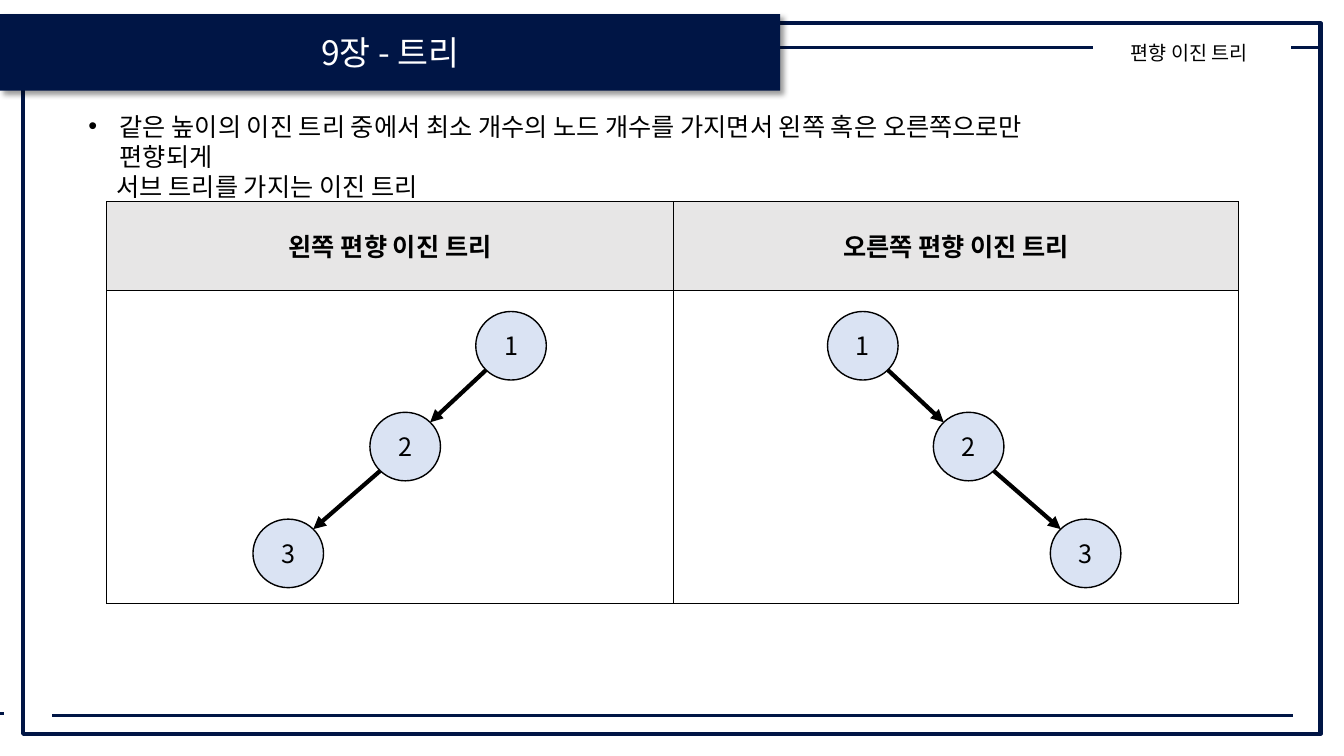
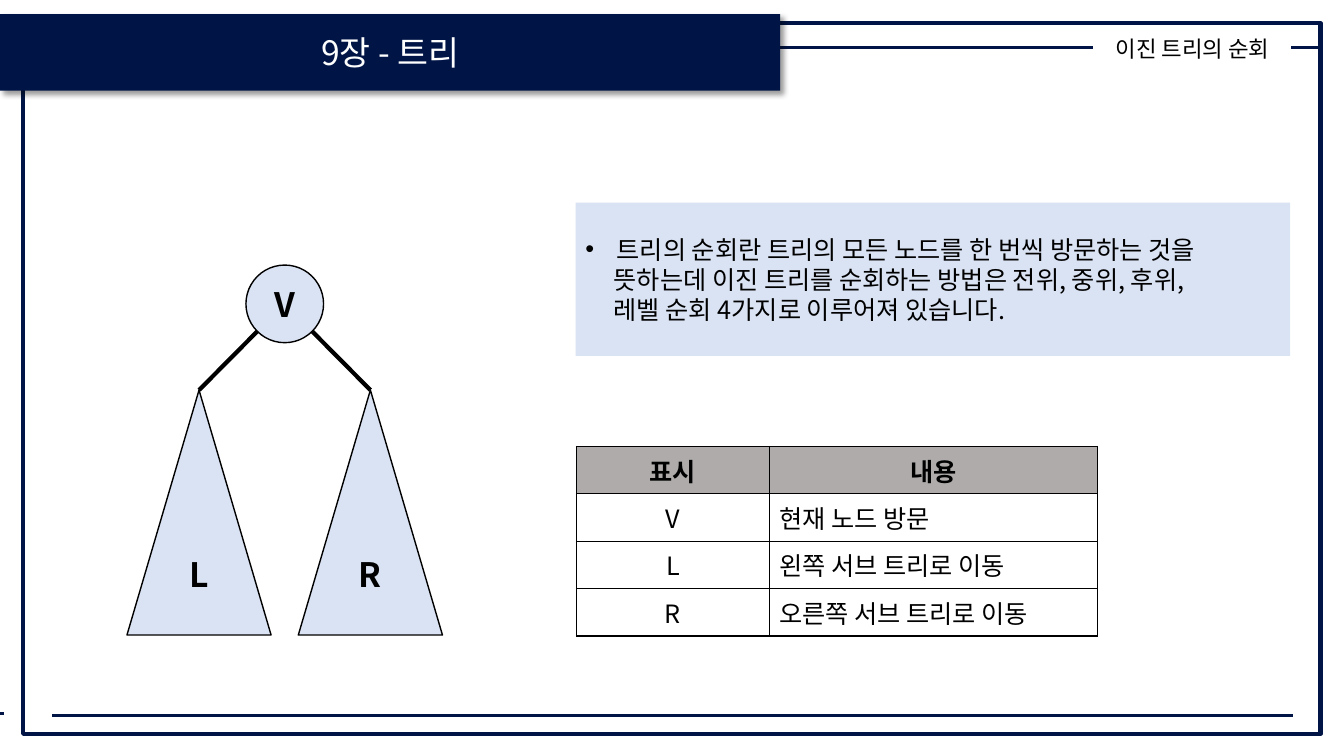
from lxml import etree
from pptx import Presentation
from pptx.dml.color import RGBColor
from pptx.enum.shapes import MSO_CONNECTOR, MSO_SHAPE
from pptx.enum.text import MSO_ANCHOR, MSO_AUTO_SIZE, PP_ALIGN
from pptx.oxml import parse_xml
from pptx.oxml.ns import nsdecls, qn
from pptx.util import Inches, Pt

RECT, OVAL = MSO_SHAPE.RECTANGLE, MSO_SHAPE.OVAL
PEAK = MSO_SHAPE.ISOSCELES_TRIANGLE
LINE = MSO_CONNECTOR.STRAIGHT
LEFT, MID = PP_ALIGN.LEFT, PP_ALIGN.CENTER
TOP, CORE = MSO_ANCHOR.TOP, MSO_ANCHOR.MIDDLE
FIXED = MSO_AUTO_SIZE.NONE

FONT = "Noto Sans CJK KR"
CELL = 0.1  # inches per grid column and row
COLS, ROWS = 133.33, 75
DIAG = 0.5 ** 0.5
HEX = {
    "navy": "001545",
    "ink": "000000",
    "paper": "FFFFFF",
    "pale": "DAE3F3",
    "light": "E7E6E6",
    "gray": "AFABAB",
}


def grid(*cells):
    return [Inches(n * CELL) for n in cells]


def rgb(name):
    return RGBColor.from_string(HEX[name])


class Deck:
    """Holds the style and the current slide."""

    def __init__(self):
        self.prs = Presentation()
        self.prs.slide_width, self.prs.slide_height = grid(COLS, ROWS)
        self.slide = None

    def page(self, topic, size, x, y):
        """Starts a slide with the shared frame; the topic is centred on x, y."""
        self.slide = self.prs.slides.add_slide(self.prs.slide_layouts[5])
        title = self.slide.shapes.title
        w, h = 22, 3.8
        title.left, title.top, title.width, title.height = grid(
            x - w / 2, y - h / 2, w, h)
        self.label(title.text_frame, [topic], size)
        self.shape(RECT, (2.3, 2.3, 128.7, 70.5), edge="navy", weight=3)
        for a, b, row in ((0, 108.4, 4.7), (128.1, 131, 4.7),
                          (5.2, 128.3, 71), (0, 0.4, 70.8)):
            self.line((a, row), (b, row), "navy", 2)
        band = self.shape(RECT, (0, 1.4, 77.4, 7.6), "navy")
        self.label(band.text_frame, ["9장 - 트리"], 24, "paper")
        self.shade(band)

    def shade(self, shape):
        glow = shape._element.spPr.find(qn("a:effectLst"))
        glow.append(parse_xml(
            f'<a:outerShdw {nsdecls("a")} blurRad="{Pt(4)}" dist="{Pt(3)}" '
            f'dir="2700000" algn="tl" rotWithShape="0">'
            f'<a:srgbClr val="{HEX["ink"]}"><a:alpha val="40000"/></a:srgbClr>'
            f'</a:outerShdw>'))

    def label(self, frame, lines, size=18, ink="ink", bold=False,
              align=MID, anchor=CORE):
        frame.word_wrap = True
        frame.auto_size = FIXED
        frame.vertical_anchor = anchor
        for i, text in enumerate(lines):
            para = frame.add_paragraph() if i else frame.paragraphs[0]
            self.run(para, text, size, ink, bold, align)

    def run(self, para, text, size, ink, bold, align):
        para.alignment = align
        run = para.add_run()
        run.text = text
        font = run.font
        font.size, font.bold, font.name = Pt(size), bold, FONT
        font.color.rgb = rgb(ink)
        etree.SubElement(run._r.get_or_add_rPr(), qn("a:ea"), typeface=FONT)

    def points(self, frame, lines, anchor):
        """Sets a bullet line and the indented lines that go on from it."""
        self.label(frame, lines, align=LEFT, anchor=anchor)
        for i, para in enumerate(frame.paragraphs):
            props = para._p.get_or_add_pPr()
            props.set("marL", str(Inches(0.28 if i else 0.31)))
            props.set("indent", str(0 if i else -Inches(0.31)))
            if not i:
                etree.SubElement(props, qn("a:buFont"), typeface="Arial")
                etree.SubElement(props, qn("a:buChar"), char="•")

    def text(self, box, lines):
        item = self.slide.shapes.add_textbox(*grid(*box))
        self.points(item.text_frame, lines, TOP)

    def shape(self, kind, box, fill=None, edge=None, weight=1):
        item = self.slide.shapes.add_shape(kind, *grid(*box))
        item.shadow.inherit = False
        if fill:
            item.fill.solid()
            item.fill.fore_color.rgb = rgb(fill)
        else:
            item.fill.background()
        if edge:
            item.line.color.rgb = rgb(edge)
            item.line.width = Pt(weight)
        else:
            item.line.fill.background()
        return item

    def node(self, kind, box, text, size=18, bold=False):
        item = self.shape(kind, box, "pale", "ink")
        self.label(item.text_frame, [text], size, bold=bold)
        return item

    def line(self, start, end, ink="ink", weight=3, arrow=False):
        item = self.slide.shapes.add_connector(LINE, *grid(*start, *end))
        item.line.color.rgb = rgb(ink)
        item.line.width = Pt(weight)
        props = item._element.spPr
        if arrow:
            etree.SubElement(props.find(qn("a:ln")), qn("a:tailEnd"),
                             type="triangle")
        etree.SubElement(props, qn("a:effectLst"))
        return item

    def chain(self, spots, side):
        """Draws numbered nodes that step down to one side (-1 left, 1 right)."""
        w, h = 7, 6.8
        dx, dy = side * w / 2 * DIAG, h / 2 * DIAG
        for i, (x, y) in enumerate(spots):
            self.node(OVAL, (x - w / 2, y - h / 2, w, h), str(i + 1))
        for (x, y), (u, v) in zip(spots, spots[1:]):
            self.line((x + dx, y + dy), (u - dx, v - dy), arrow=True)

    def table(self, spot, cols, rows, data, head, body, aligns):
        size = sum(cols), sum(rows)
        table = self.slide.shapes.add_table(
            len(rows), len(cols), *grid(*spot, *size)).table
        table.first_row = table.horz_banding = False
        for col, width in zip(table.columns, grid(*cols)):
            col.width = width
        for row, height in zip(table.rows, grid(*rows)):
            row.height = height
        for r, texts in enumerate(data):
            for c, text in enumerate(texts):
                self.cell(table.cell(r, c), text, body if r else head,
                          not r, aligns[c] if r else MID)

    def cell(self, cell, text, fill, bold, align):
        cell.fill.solid()
        cell.fill.fore_color.rgb = rgb(fill)
        cell.vertical_anchor = CORE
        if text:
            self.run(cell.text_frame.paragraphs[0], text, 18, "ink", bold, align)
        props = cell._tc.get_or_add_tcPr()
        for i, side in enumerate("LRTB"):
            props.insert(i, parse_xml(
                f'<a:ln{side} {nsdecls("a")} w="{Pt(1)}"><a:solidFill>'
                f'<a:srgbClr val="{HEX["ink"]}"/></a:solidFill></a:ln{side}>'))


def skewed(deck):
    deck.page("편향 이진 트리", 14, 118, 5.2)
    deck.table((10.6, 20), (56.2, 56.1), (8.8, 31.1),
               [("왼쪽 편향 이진 트리", "오른쪽 편향 이진 트리"), ("", "")],
               "light", "paper", (MID, MID))
    deck.text((7.8, 10.5, 100.6, 9.5), [
        "같은 높이의 이진 트리 중에서 최소 개수의 노드 개수를 가지면서 "
        "왼쪽 혹은 오른쪽으로만 편향되게",
        "서브 트리를 가지는 이진 트리"])
    spots = [(50.7, 34.3), (40.2, 44.3), (28.6, 54.9)]
    deck.chain(spots, -1)
    deck.chain([(136.3 - x, y) for x, y in spots], 1)


def visits(deck):
    deck.page("이진 트리의 순회", 16, 118.3, 4.8)
    x, y, size = 28.25, 30.15, 7.7
    step = size / 2 * DIAG
    deck.node(OVAL, (x - size / 2, y - size / 2, size, size), "V", 24, True)
    for side, name in ((-1, "L"), (1, "R")):
        peak = x + side * 8.5
        part = deck.node(PEAK, (peak - 7.15, 38.7, 14.3, 24.3), name, 24, True)
        link = deck.line((x + side * step, y + step), (peak, 38.7))
        link.end_connect(part, 0)
    deck.table((57.2, 44.3), (19.1, 32.6), [4.7] * 4,
               [("표시", "내용"), ("V", "현재 노드 방문"),
                ("L", "왼쪽 서브 트리로 이동"), ("R", "오른쪽 서브 트리로 이동")],
               "gray", "paper", (MID, LEFT))
    panel = deck.shape(RECT, (57.1, 20.1, 70.9, 15.2), "pale")
    deck.points(panel.text_frame, [
        "트리의 순회란 트리의 모든 노드를 한 번씩 방문하는 것을",
        "뜻하는데 이진 트리를 순회하는 방법은 전위, 중위, 후위,",
        "레벨 순회 4가지로 이루어져 있습니다."], CORE)


def main():
    deck = Deck()
    skewed(deck)
    visits(deck)
    deck.prs.save("out.pptx")


if __name__ == "__main__":
    main()
